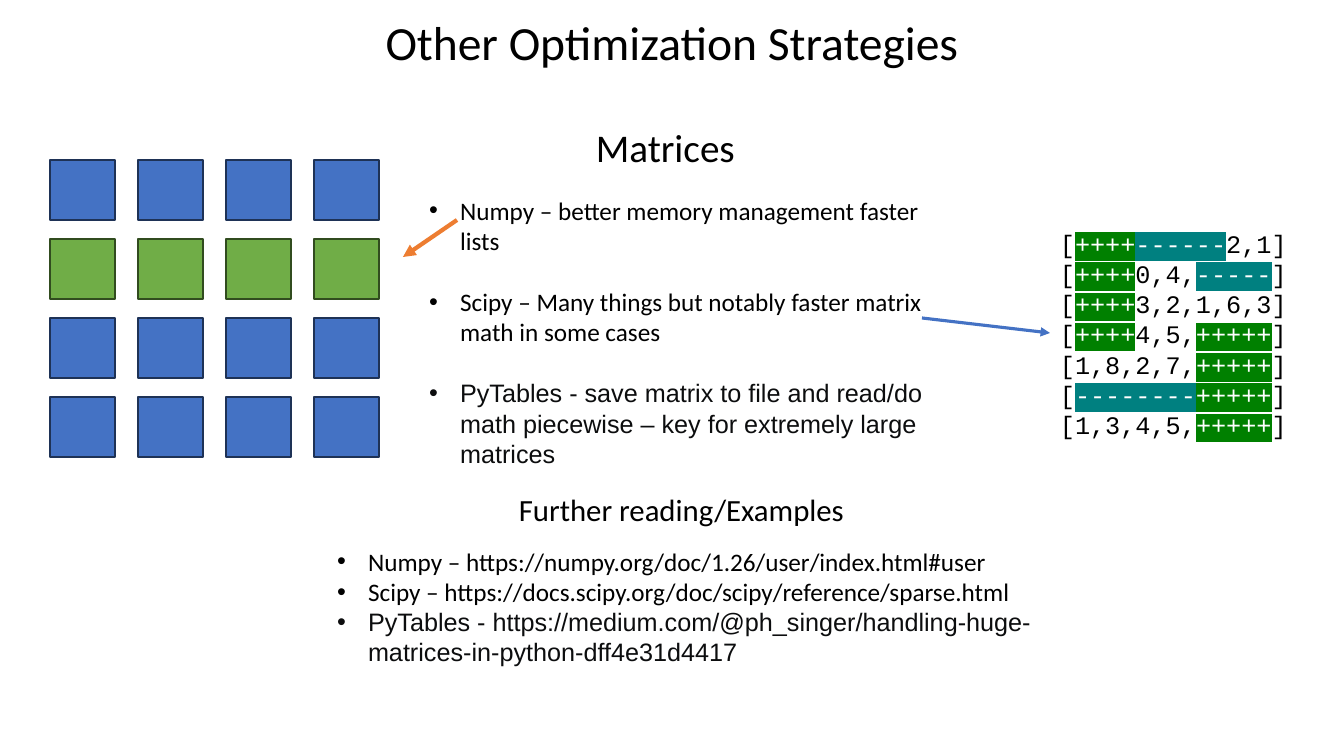
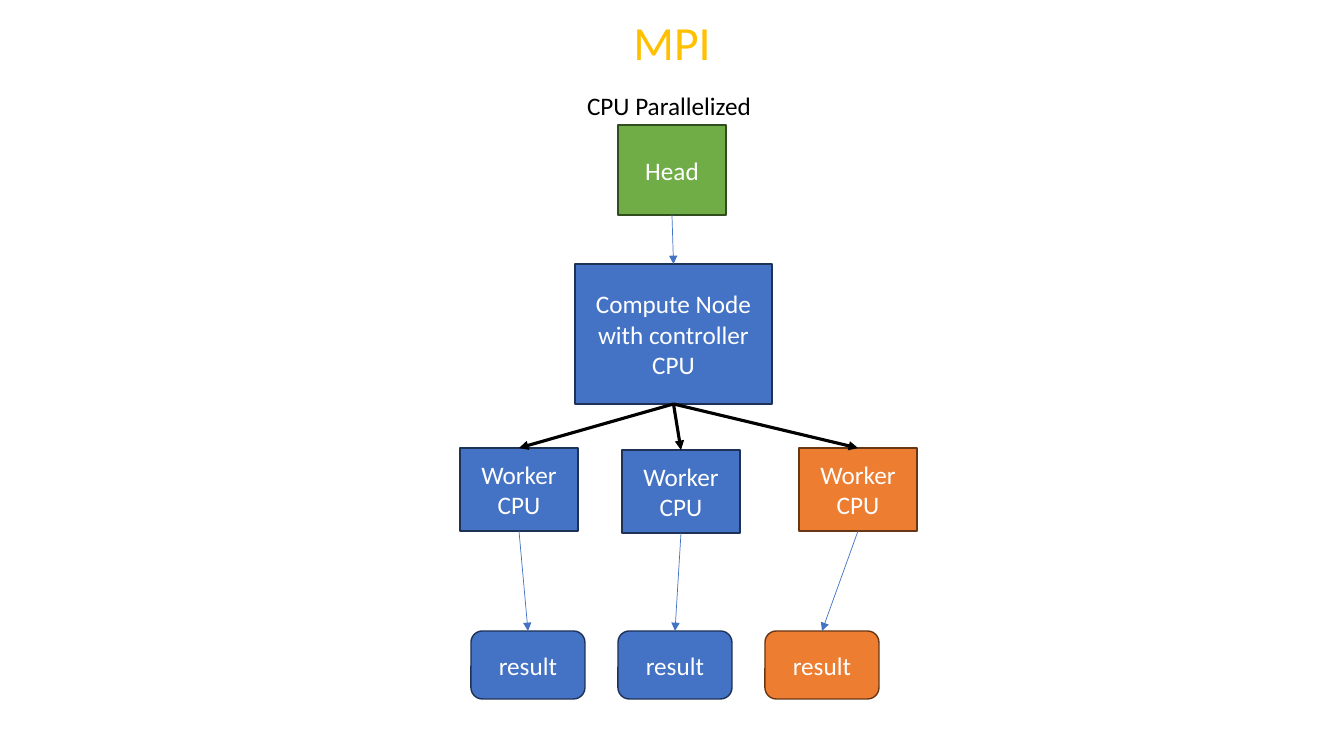
"""Build two slides on matrix libraries and MPI."""
from itertools import groupby
from lxml.etree import SubElement
from pptx import Presentation
from pptx.dml.color import RGBColor
from pptx.enum.shapes import MSO_CONNECTOR, MSO_SHAPE
from pptx.enum.text import MSO_ANCHOR, MSO_AUTO_SIZE, PP_ALIGN
from pptx.oxml.ns import qn
from pptx.util import Pt

PX = 9071
BLUE, GREEN, ORANGE = "4472C4", "70AD47", "ED7D31"
BLACK, WHITE, GOLD = "000000", "FFFFFF", "FFC000"
EDGE = {BLUE: "1E3256", GREEN: "314C1F", ORANGE: "683715"}
MARK = {"+": "008000", "-": "008080"}
LEFT, MID = PP_ALIGN.LEFT, PP_ALIGN.CENTER
rgb = RGBColor.from_string


def place(shape, x, y, w, h):
    """Put a shape at a pixel position."""
    shape.left, shape.top, shape.width, shape.height = x * PX, y * PX, w * PX, h * PX


def write(shape, text, size, hue, align, anchor=MSO_ANCHOR.TOP, face="Calibri"):
    """Fill a shape with text in one style."""
    frame = shape.text_frame
    frame.text = text
    frame.word_wrap = True
    frame.auto_size = MSO_AUTO_SIZE.NONE
    frame.vertical_anchor = anchor
    for par in frame.paragraphs:
        par.alignment = align
        for run in par.runs:
            run.font.size = Pt(size)
            run.font.name = face
            run.font.color.rgb = rgb(hue)


deck = Presentation()
deck.slide_width, deck.slide_height = 1344 * PX, 756 * PX
tips = deck.slides.add_slide(deck.slide_layouts[3])
mpi = deck.slides.add_slide(deck.slide_layouts[5])

for slide, text, hue in [
    (tips, "Other Optimization Strategies", BLACK),
    (mpi, "MPI", GOLD),
]:
    place(slide.shapes.title, 192, 8, 960, 68)
    write(slide.shapes.title, text, 34, hue, MID)

for slide, text, size, align, spot in [
    (tips, "Matrices", 28, LEFT, (586, 118, 173, 57)),
    (tips, "Further reading/Examples", 22, LEFT, (509, 486, 366, 47)),
    (mpi, "CPU Parallelized", 18, MID, (510, 85, 318, 40)),
]:
    label = slide.shapes.add_textbox(0, 0, 0, 0)
    place(label, *spot)
    write(label, text, size, BLACK, align)

uses = [
    "Numpy – better memory management faster lists",
    "Scipy – Many things but notably faster matrix math in some cases",
    "PyTables - save matrix to file and read/do math piecewise – key for extremely large matrices",
]
links = [
    "Numpy – https://numpy.org/doc/1.26/user/index.html#user",
    "Scipy – https://docs.scipy.org/doc/scipy/reference/sparse.html",
    "PyTables - https://medium.com/@ph_singer/handling-huge-matrices-in-python-dff4e31d4417",
]
for index, items, gap, spot in [
    (1, uses, 22, (419, 190, 545, 254)),
    (2, links, 0, (327, 541, 724, 132)),
]:
    body = tips.placeholders[index]
    place(body, *spot)
    write(body, "\n".join(items), 18, BLACK, LEFT)
    pars = body.text_frame.paragraphs
    for par in pars:
        prop = par._p.get_or_add_pPr()
        prop.set("marL", str(31 * PX))
        prop.set("indent", str(-31 * PX))
        SubElement(prop, qn("a:buChar")).set("char", "•")
        par.space_before = Pt(0 if par is pars[0] else gap)
    font = pars[-1].runs[0].font
    font.name = "Arial"
    font.color.rgb = rgb("0C0D0E")

rows = [
    "[++++------2,1]",
    "[++++0,4,-----]",
    "[++++3,2,1,6,3]",
    "[++++4,5,+++++]",
    "[1,8,2,7,+++++]",
    "[--------+++++]",
    "[1,3,4,5,+++++]",
]
grid = tips.shapes.add_textbox(0, 0, 0, 0)
place(grid, 1050, 223, 261, 254)
write(grid, "\n".join(rows), 18, BLACK, LEFT, face="Courier New")
for par, row in zip(grid.text_frame.paragraphs, rows):
    par.text = ""
    for tint, chars in groupby(row, MARK.get):
        run = par.add_run()
        run.text = "".join(chars)
        run.font.size = Pt(18)
        run.font.name = "Courier New"
        run.font.color.rgb = rgb(WHITE if tint else BLACK)
        if tint:
            prop = run._r.get_or_add_rPr()
            high = SubElement(prop, qn("a:highlight"))
            SubElement(high, qn("a:srgbClr")).set("val", tint)
            prop.find(qn("a:solidFill")).addnext(high)

RECT, ROUND = MSO_SHAPE.RECTANGLE, MSO_SHAPE.ROUNDED_RECTANGLE
cells = [
    (tips, RECT, "", GREEN if row == 1 else BLUE, (50 + 88 * col, 160 + 79 * row, 65, 60))
    for row in range(4) for col in range(4)
]
nodes = [
    (mpi, RECT, "Head", GREEN, (618, 125, 108, 90)),
    (mpi, RECT, "Compute Node with controller CPU", BLUE, (575, 264, 197, 140)),
]
hues = [BLUE, BLUE, ORANGE]
for hue, x, y in zip(hues, [460, 622, 799], [448, 450, 448]):
    nodes.append((mpi, RECT, "Worker CPU", hue, (x, y, 118, 83)))
for step, hue in enumerate(hues):
    nodes.append((mpi, ROUND, "result", hue, (471 + 147 * step, 631, 114, 68)))

made = []
for slide, kind, text, hue, spot in cells + nodes:
    box = slide.shapes.add_shape(kind, 0, 0, 0, 0)
    place(box, *spot)
    box.shadow.inherit = False
    box.fill.solid()
    box.fill.fore_color.rgb = rgb(hue)
    box.line.color.rgb = rgb(EDGE[hue])
    box.line.width = Pt(1)
    if text:
        write(box, text, 18, WHITE, MID, MSO_ANCHOR.MIDDLE)
        made.append(box)

head, node = made[:2]
works, ends = made[2:5], made[5:]
joins = [(head, node, BLUE, 0.5)]
joins += [(node, work, BLACK, 2.25) for work in works]
joins += [(work, end, BLUE, 0.5) for work, end in zip(works, ends)]
lines = []
for start, stop, hue, width in joins:
    line = mpi.shapes.add_connector(MSO_CONNECTOR.STRAIGHT, 0, 0, 0, 0)
    line.begin_connect(start, 2)
    line.end_connect(stop, 0)
    lines.append((line, hue, width))
for spot, hue, width in [
    ((457, 220, 403, 257), ORANGE, 3),
    ((922, 318, 1050, 333), BLUE, 2.25),
]:
    line = tips.shapes.add_connector(MSO_CONNECTOR.STRAIGHT, *[n * PX for n in spot])
    lines.append((line, hue, width))
for line, hue, width in lines:
    line.line.color.rgb = rgb(hue)
    line.line.width = Pt(width)
    SubElement(line.line._get_or_add_ln(), qn("a:tailEnd")).set("type", "triangle")
    SubElement(line._element.spPr, qn("a:effectLst"))

deck.save("out.pptx")
